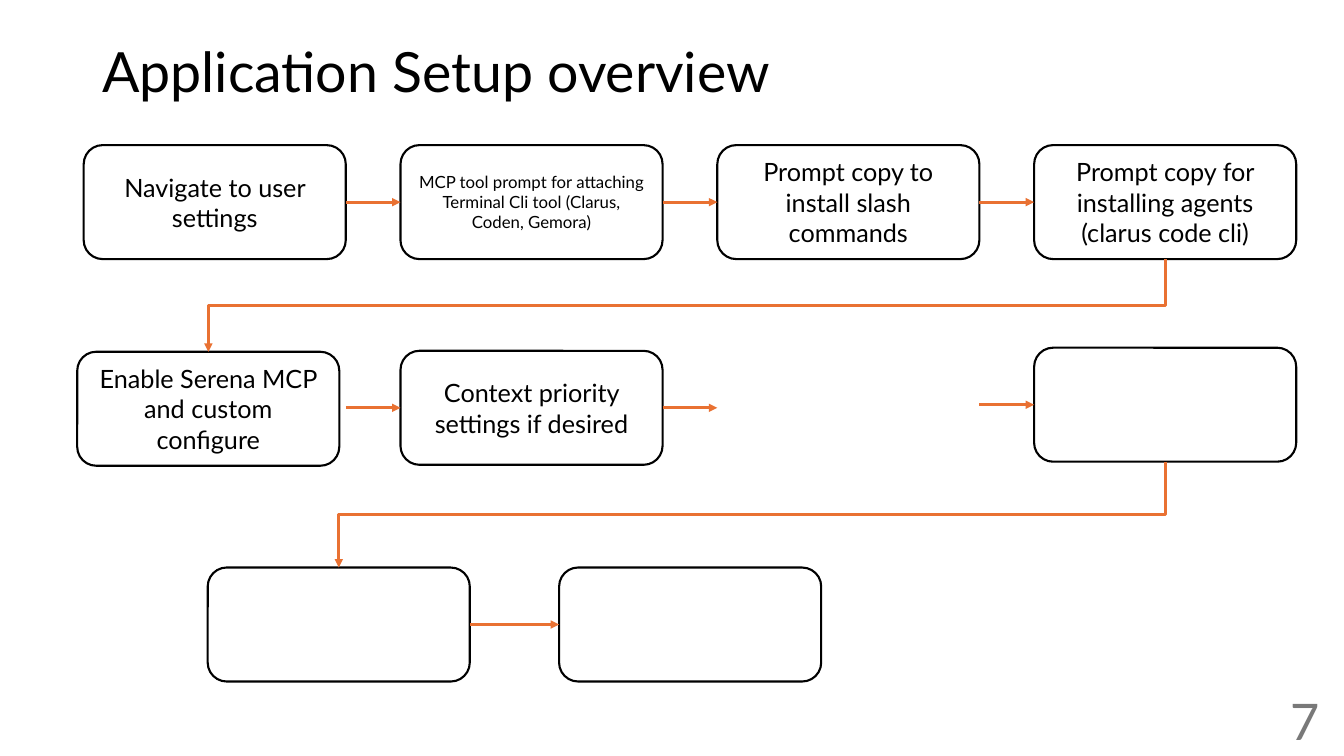
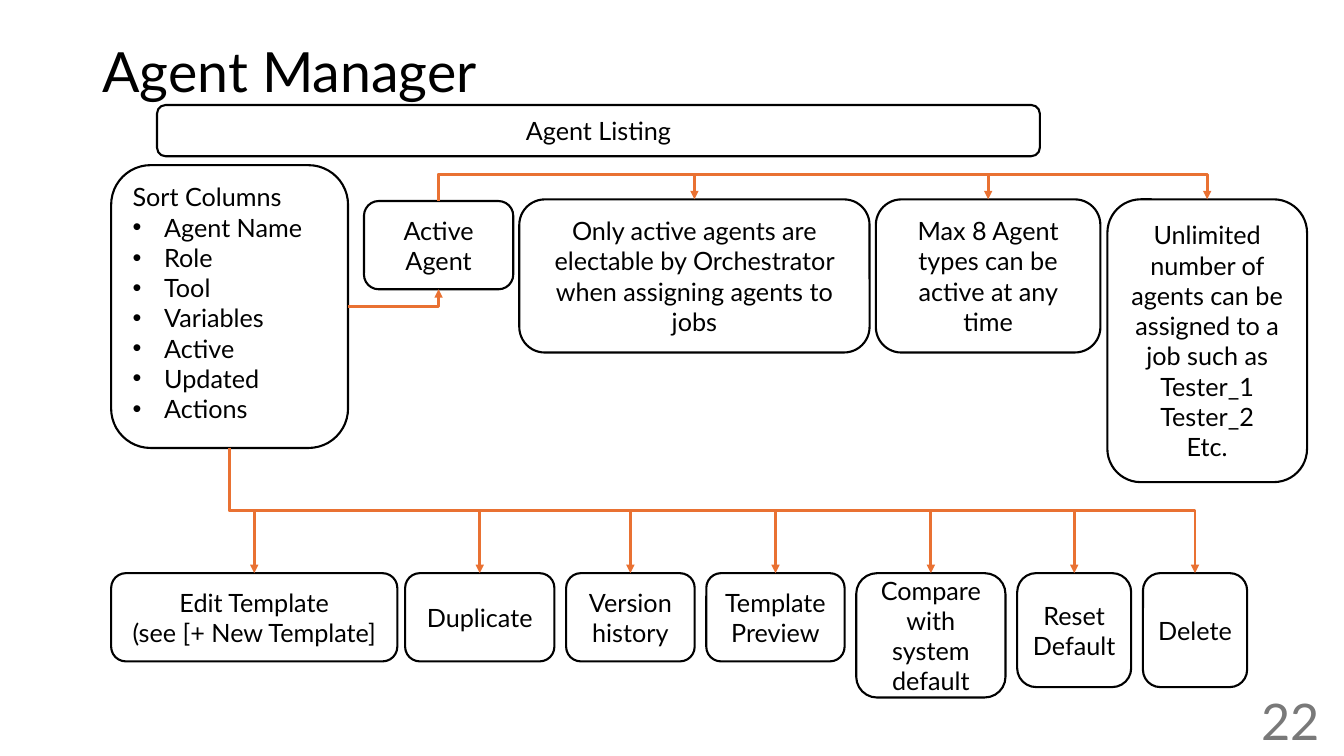
"""Build two flow-chart slides: application setup and agent manager."""
from dataclasses import dataclass

from lxml.etree import SubElement
from pptx import Presentation
from pptx.dml.color import RGBColor
from pptx.enum.shapes import MSO_CONNECTOR as Connector, MSO_SHAPE as Preset
from pptx.enum.text import MSO_ANCHOR as Anchor, PP_ALIGN as Align
from pptx.oxml.ns import qn
from pptx.util import Pt


@dataclass(frozen=True)
class Theme:
    font: str = "Lato"
    ink: RGBColor = RGBColor(0, 0, 0)
    paper: RGBColor = RGBColor(255, 255, 255)
    accent: RGBColor = RGBColor(0xE9, 0x71, 0x32)
    muted: RGBColor = RGBColor(0x79, 0x79, 0x79)
    title: float = 39.6
    number: float = 36
    body: float = 18
    small: float = 12
    outline: float = 1.5
    arrow: float = 2


THEME = Theme()
TOP, LEFT, BOTTOM, RIGHT = range(4)
STEP_WIDTH, STEP_HEIGHT = 187.2, 81.4
STEP_GAP = 39.1
FIRST_LEFT, FIRST_TOP = 59.8, 103.7
COLUMNS = [FIRST_LEFT + column * (STEP_WIDTH + STEP_GAP) for column in range(4)]

STEPS = {
    "navigate": ("Navigate to user settings", COLUMNS[0], FIRST_TOP),
    "attach": ("MCP tool prompt for attaching Terminal Cli tool (Clarus, Coden, Gemora)",
               COLUMNS[1], FIRST_TOP),
    "commands": ("Prompt copy to install slash commands", COLUMNS[2], FIRST_TOP),
    "agents": ("Prompt copy for installing agents (clarus code cli)", COLUMNS[3], FIRST_TOP),
    "enable": ("Enable Serena MCP and custom configure", 55.2, 251.3),
    "context": ("Context priority settings if desired", COLUMNS[1], 250.6),
    "row end": ("", COLUMNS[3], 248.4),
    "last row start": ("", 148.4, 405.4),
    "last row end": ("", 399.4, 405.4),
}
SMALL_STEPS = {"attach"}
STRAIGHT_LINKS = [("navigate", "attach"), ("attach", "commands"),
                  ("commands", "agents"), ("last row start", "last row end")]
STUBS = [("context", LEFT), ("context", RIGHT), ("row end", LEFT)]
ROW_LINKS = [("agents", "enable"), ("row end", "last row start")]

LISTING = ("Agent Listing", 112.2, 75, 630.6, 36.6)
SORT_TITLE = "Sort Columns"
SORT_COLUMNS = ["Agent Name", "Role", "Tool", "Variables", "Active", "Updated", "Actions"]
SORT_BOX = (79.4, 118, 169.2, 202)
BULLET_INDENT = 22.5
ACTIVE = ("Active\u0020Agent", 260, 143.6, 106.6, 63)
RULES_TOP, RULES_BEND = 142.4, 124.4
RULES = [
    ("Only active agents are electable by Orchestrator when assigning agents to jobs",
     370.9, 250.2, 109.4),
    ("Max 8 Agent types can be active at any time", 625.6, 160.4, 109.4),
    ("Unlimited number of agents can be assigned to a job such as Tester_1\nTester_2\nEtc.",
     791, 142.6, 202),
]
ACTIONS_TOP = 409.4
ACTIONS = [
    ("Edit Template\n(see [+ New Template]", 79.4, 204.4, 63),
    ("Duplicate", 289.4, 106.6, 63),
    ("Version history", 404.4, 91.8, 63),
    ("Template Preview", 504.5, 98.8, 63),
    ("Compare with system default", 611.6, 106.6, 88.8),
    ("Reset Default", 726.6, 81.4, 81.4),
    ("Delete", 816.4, 74.4, 81.4),
]


def apply(target, **values):
    for name, value in values.items():
        setattr(target, name, value)


def write(shape, text, size, color=THEME.ink, align=Align.CENTER, anchor=Anchor.MIDDLE):
    frame = shape.text_frame
    frame.text = text
    apply(frame, word_wrap=True, vertical_anchor=anchor)
    for paragraph in frame.paragraphs:
        paragraph.alignment = align
        for run in paragraph.runs:
            apply(run.font, name=THEME.font, size=Pt(size))
            run.font.color.rgb = color
    return frame.paragraphs


def add_label(slide, text, box, size, color, align):
    shape = slide.shapes.add_textbox(*map(Pt, box))
    return write(shape, text, size, color, align)


def add_base(presentation, title, number):
    slide = presentation.slides.add_slide(presentation.slide_layouts[6])
    heading = add_label(slide, title, (66, 28.8, 828, 49), THEME.title, THEME.ink, Align.LEFT)
    heading[0].line_spacing = 0.9
    add_label(slide, number, (733.6, 500.4, 216, 28.8), THEME.number, THEME.muted, Align.RIGHT)
    return slide


def add_box(slide, text, left, top, width, height, size=THEME.body, **style):
    shape = slide.shapes.add_shape(Preset.ROUNDED_RECTANGLE, *map(Pt, (left, top, width, height)))
    shape.shadow.inherit = False
    shape.fill.solid()
    shape.fill.fore_color.rgb = THEME.paper
    shape.line.color.rgb = THEME.ink
    shape.line.width = Pt(THEME.outline)
    write(shape, text, size, **style)
    return shape


def add_bullet(paragraph):
    properties = paragraph._p.get_or_add_pPr()
    indent = Pt(BULLET_INDENT)
    properties.set("marL", str(indent))
    properties.set("indent", str(-indent))
    SubElement(properties, qn("a:buFont"), typeface="Arial")
    SubElement(properties, qn("a:buChar"), char="•")


def side_middle(shape, side):
    center_x, center_y = shape.left + shape.width // 2, shape.top + shape.height // 2
    return {TOP: (center_x, shape.top), LEFT: (shape.left, center_y),
            BOTTOM: (center_x, shape.top + shape.height),
            RIGHT: (shape.left + shape.width, center_y)}[side]


def add_arrow(slide, kind, begin, end):
    connector = slide.shapes.add_connector(kind, *begin, *end)
    connector.line.color.rgb = THEME.accent
    connector.line.width = Pt(THEME.arrow)
    SubElement(connector.line._get_or_add_ln(), qn("a:tailEnd"), type="triangle")
    SubElement(connector._element.spPr, qn("a:effectLst"))
    return connector


def add_link(slide, source, source_side, target, target_side, kind=Connector.STRAIGHT):
    connector = add_arrow(slide, kind, side_middle(source, source_side),
                          side_middle(target, target_side))
    connector.begin_connect(source, source_side)
    connector.end_connect(target, target_side)
    return connector


def add_stub(slide, shape, side):
    x, y = side_middle(shape, side)
    if side == LEFT:
        add_arrow(slide, Connector.STRAIGHT, (x - Pt(STEP_GAP), y), (x, y)).end_connect(shape, side)
    else:
        add_arrow(slide, Connector.STRAIGHT, (x, y), (x + Pt(STEP_GAP), y)).begin_connect(shape, side)


def add_vertical_elbow(slide, source, source_side, target, target_side, bend=None):
    connector = add_link(slide, source, source_side, target, target_side, Connector.ELBOW)
    (x1, y1), (x2, y2) = side_middle(source, source_side), side_middle(target, target_side)
    run, rise = abs(x2 - x1), abs(y2 - y1)
    apply(connector, left=(x1 + x2 - rise) // 2, top=(y1 + y2 - run) // 2,
          width=rise, height=run)
    transform = connector._element.spPr.find(qn("a:xfrm"))
    for name, value in {"rot": 90 * 60000, "flipH": int(y2 < y1), "flipV": int(x2 > x1)}.items():
        transform.set(name, str(value))
    if bend is not None:
        ratio = round((Pt(bend) - y1) / (y2 - y1) * 100000)
        adjustments = connector._element.spPr.find(qn("a:prstGeom")).find(qn("a:avLst"))
        SubElement(adjustments, qn("a:gd"), name="adj1", fmla=f"val {ratio}")


def add_corner(slide, source, source_side, target, target_side):
    connector = add_link(slide, source, source_side, target, target_side, Connector.ELBOW)
    connector._element.spPr.find(qn("a:prstGeom")).set("prst", "bentConnector2")


def build_setup(presentation):
    slide = add_base(presentation, "Application Setup overview", "7")
    boxes = {}
    for key, (text, left, top) in STEPS.items():
        size = THEME.small if key in SMALL_STEPS else THEME.body
        boxes[key] = add_box(slide, text, left, top, STEP_WIDTH, STEP_HEIGHT, size)
    for source, target in STRAIGHT_LINKS:
        add_link(slide, boxes[source], RIGHT, boxes[target], LEFT)
    for key, side in STUBS:
        add_stub(slide, boxes[key], side)
    for source, target in ROW_LINKS:
        add_vertical_elbow(slide, boxes[source], BOTTOM, boxes[target], TOP)


def build_manager(presentation):
    slide = add_base(presentation, "Agent Manager", "22")
    add_box(slide, *LISTING)
    sort_box = add_box(slide, "\n".join([SORT_TITLE, *SORT_COLUMNS]), *SORT_BOX,
                       align=Align.LEFT, anchor=Anchor.TOP)
    for paragraph in sort_box.text_frame.paragraphs[1:]:
        add_bullet(paragraph)
    active = add_box(slide, *ACTIVE)
    add_corner(slide, sort_box, RIGHT, active, BOTTOM)
    for text, left, width, height in RULES:
        rule = add_box(slide, text, left, RULES_TOP, width, height)
        add_vertical_elbow(slide, active, TOP, rule, TOP, RULES_BEND)
    for text, left, width, height in ACTIONS:
        action = add_box(slide, text, left, ACTIONS_TOP, width, height)
        add_vertical_elbow(slide, sort_box, BOTTOM, action, TOP)


def main():
    presentation = Presentation()
    apply(presentation, slide_width=Pt(960), slide_height=Pt(540))
    build_setup(presentation)
    build_manager(presentation)
    presentation.save("out.pptx")


if __name__ == "__main__":
    main()
